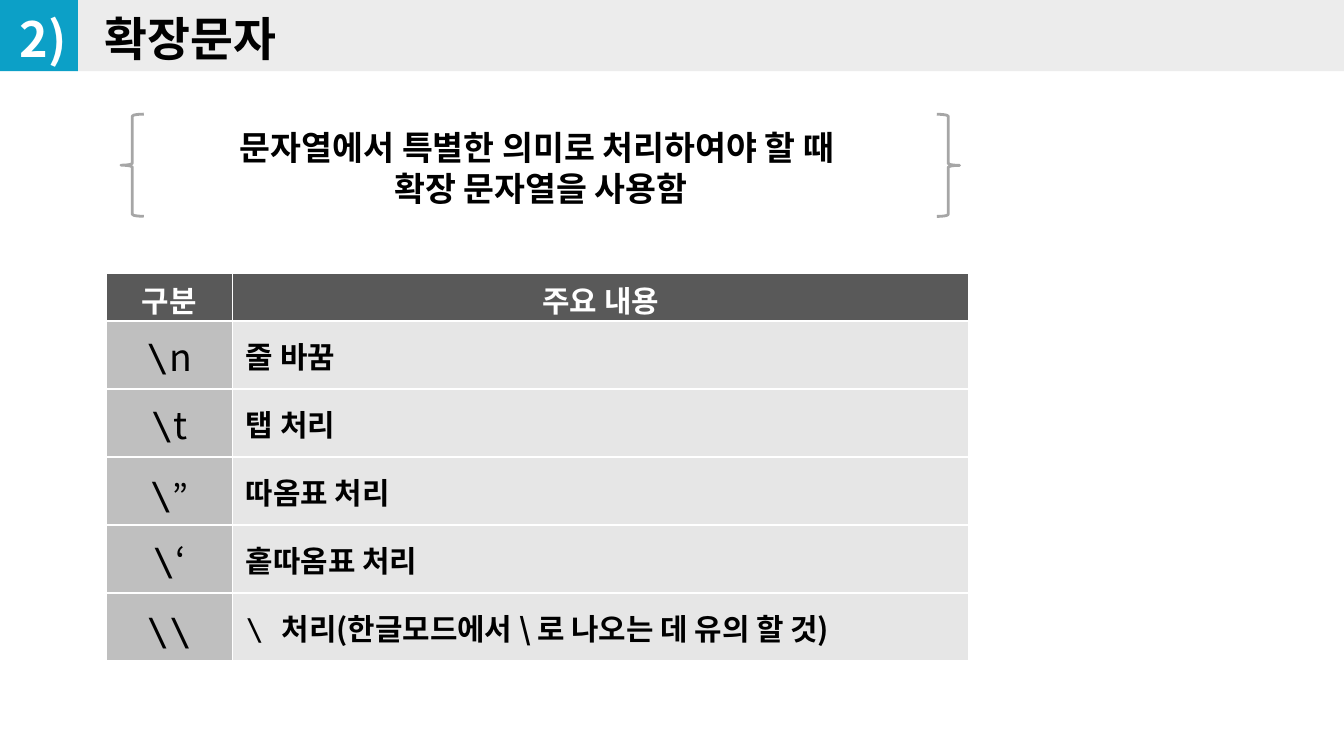
import pptx
import pptx.dml.color
import pptx.enum.shapes
import pptx.enum.text
import pptx.oxml
import pptx.oxml.ns
import pptx.util
from pptx.util import Inches

SANS = "Noto Sans CJK KR"
MONO = "DejaVu Sans Mono"
CENTER = pptx.enum.text.PP_ALIGN.CENTER
LEFT = pptx.enum.text.PP_ALIGN.LEFT
SHAPES = pptx.enum.shapes.MSO_SHAPE
NAMESPACE = pptx.oxml.ns.nsdecls("a")

ROWS = [
    ([("\\", MONO, 20), ("n", SANS, 20)], [("줄 바꿈", SANS, True)]),
    ([("\\", MONO, 20), ("t", SANS, 20)], [("탭 처리", SANS, True)]),
    ([("\\", MONO, 20), ("”", SANS, 18)], [("따옴표 처리", SANS, True)]),
    ([("\\", MONO, 20), ("‘", SANS, 20)], [("홑따옴표 처리", SANS, True)]),
    ([("\\\\", MONO, 20)],
     [("\\ ", MONO, False),
      ("처리(한글모드에서 \\ 로 나오는 데 유의 할 것)", SANS, True)]),
]


def color(value):
    """Return the colour for a hex string."""
    return pptx.dml.color.RGBColor.from_string(value)


def style_font(font, size, value, bold=True, name=SANS):
    """Set size, colour, weight and both Latin and East Asian faces."""
    font.size = pptx.util.Pt(size)
    font.bold = bold
    font.color.rgb = color(value)
    font.name = name
    font._rPr.find(pptx.oxml.ns.qn("a:latin")).addnext(
        pptx.oxml.parse_xml(f'<a:ea {NAMESPACE} typeface="{name}"/>'))


def set_layout(para, size, align):
    """Set the alignment and a line pitch that follows the text size."""
    para.alignment = align
    para.line_spacing = pptx.util.Pt(round(size * 1.22, 1))


def add_text(page, box, text, size, value, align=LEFT, inset=(0.1, 0.05)):
    """Add a text box with one paragraph."""
    frame = page.shapes.add_textbox(*map(Inches, box)).text_frame
    frame.word_wrap = True
    frame.margin_left = frame.margin_right = Inches(inset[0])
    frame.margin_top = frame.margin_bottom = Inches(inset[1])
    para = frame.paragraphs[0]
    para.text = text
    set_layout(para, size, align)
    style_font(para.font, size, value)


def add_band(page, box, value):
    """Add a plain filled rectangle."""
    band = page.shapes.add_shape(SHAPES.RECTANGLE, *map(Inches, box))
    band.shadow.inherit = False
    band.fill.solid()
    band.fill.fore_color.rgb = color(value)
    band.line.fill.background()


def add_heading(page, box, number, title):
    """Add the heading strip with its number tile."""
    left, top, width, height = box
    tile = 0.58
    add_band(page, (left + tile, top, width - tile, height), "ECECEC")
    add_band(page, (left, top, tile + 0.01, height), "0CA0C7")
    inset = (0.14, 0.07)
    add_text(page, (left + 0.65, top + 0.01, 8.92, 0.56), title, 25, "000000", inset=inset)
    add_text(page, (left, top, 0.66, 0.58), number, 26, "FFFFFF", CENTER, inset)


def add_callout(page, box, text):
    """Add centred text between two braces."""
    left, top, width, height = box
    brace_width = 0.17
    for brace_left, turn in ((left, 0), (left + width - brace_width, 180)):
        brace = page.shapes.add_shape(
            SHAPES.LEFT_BRACE,
            *map(Inches, (brace_left, top, brace_width, height)))
        brace.rotation = turn
        brace.shadow.inherit = False
        brace.fill.background()
        brace.line.color.rgb = color("A6A6A6")
        brace.line.width = pptx.util.Pt(1.5)
    add_text(page, (left + 0.09, top + 0.04, width - 0.17, 0.71), text, 18, "000000", CENTER)


def fill_cell(cell, value, align, spans, margin_top):
    """Fill a cell with white borders, a background and styled spans."""
    properties = cell._tc.get_or_add_tcPr()
    for side in ("lnL", "lnR", "lnT", "lnB"):
        properties.append(pptx.oxml.parse_xml(
            f'<a:{side} {NAMESPACE} w="12700"><a:solidFill>'
            f'<a:srgbClr val="FFFFFF"/></a:solidFill></a:{side}>'))
    cell.fill.solid()
    cell.fill.fore_color.rgb = color(value)
    cell.vertical_anchor = pptx.enum.text.MSO_ANCHOR.MIDDLE
    cell.margin_top = Inches(margin_top)
    cell.margin_bottom = 0
    para = cell.text_frame.paragraphs[0]
    set_layout(para, max(span[1] for span in spans), align)
    for text, size, ink, bold, name in spans:
        span = para.add_run()
        span.text = text
        if len(spans) > 1:
            style_font(span.font, size, ink, bold, name)
    if len(spans) == 1:
        style_font(para.font, *spans[0][1:])


def add_escape_table(page, box, header, rows):
    """Add the table of escape characters."""
    left, top, width, height = box
    table = page.shapes.add_table(
        len(rows) + 1, 2, *map(Inches, box)).table
    key_width, header_height = 0.94, 0.36
    table.columns[0].width = Inches(key_width)
    table.columns[1].width = Inches(width - key_width)
    for index, row in enumerate(table.rows):
        row.height = Inches(
            (height - header_height) / len(rows) if index else header_height)
    for column, text in enumerate(header):
        fill_cell(table.cell(0, column), "595959", CENTER,
                  [(text, 16, "FFFFFF", True, SANS)], 0.08)
    for index, (key, meaning) in enumerate(rows, 1):
        fill_cell(table.cell(index, 0), "BFBFBF", CENTER,
                  [(text, size, "000000", False, name) for text, name, size in key], 0.07)
        fill_cell(table.cell(index, 1), "E6E6E6", LEFT,
                  [(text, 16, "000000", bold, name) for text, name, bold in meaning], 0.06)


def main():
    """Build and save the deck."""
    deck = pptx.Presentation()
    deck.slide_width = Inches(10)
    deck.slide_height = deck.slide_width * 9 // 16
    page = deck.slides.add_slide(deck.slide_layouts[6])
    add_heading(page, (-0.01, -0.01, 10.01, 0.54), "2)", "확장문자")
    add_callout(page, (0.9, 0.85, 6.24, 0.76),
                "문자열에서 특별한 의미로 처리하여야 할 때 \v확장 문자열을 사용함")
    add_escape_table(page, (0.79, 2.03, 6.42, 2.89), ("구분", "주요 내용"), ROWS)
    deck.save("out.pptx")


if __name__ == "__main__":
    main()
